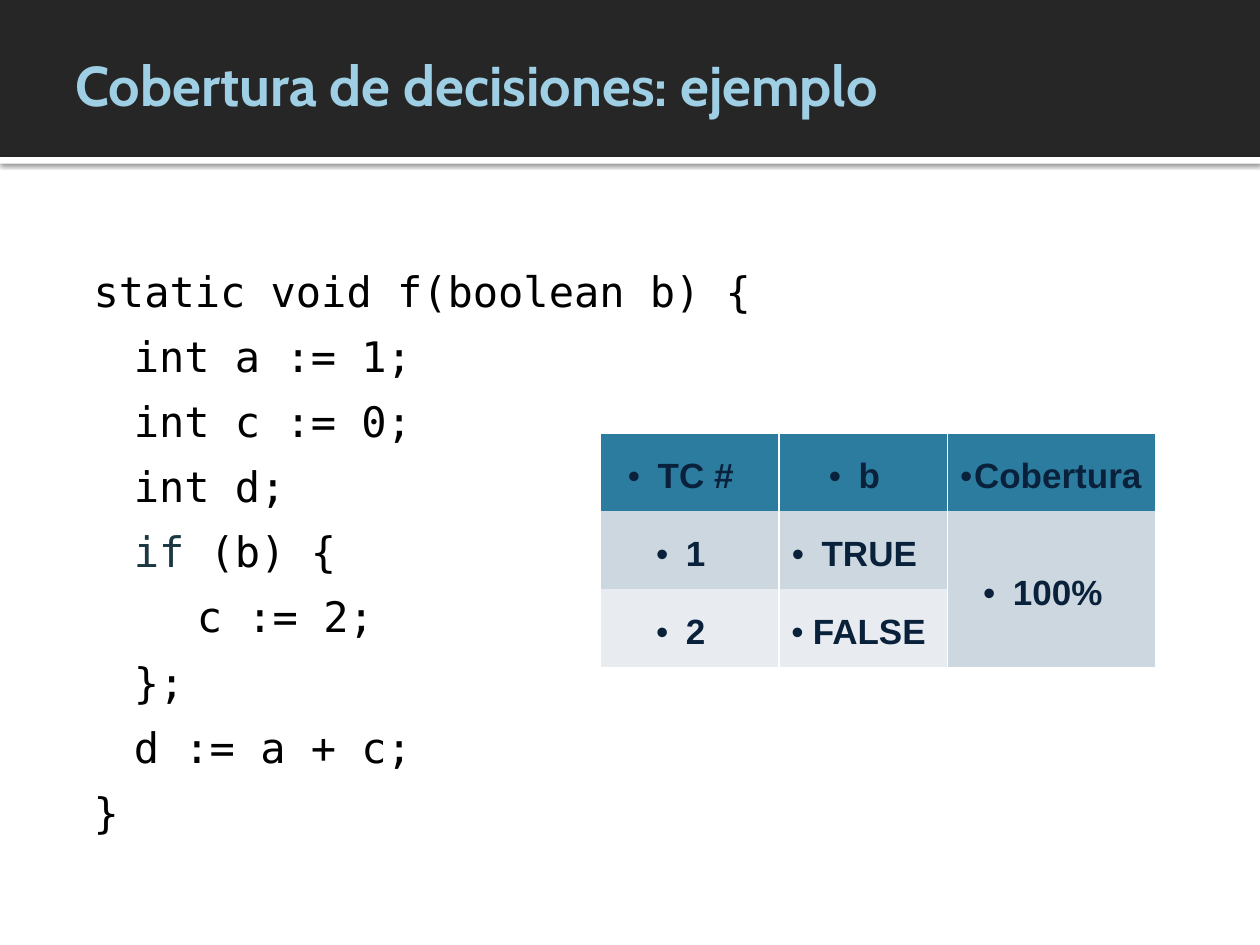
from lxml import etree
from pptx import Presentation
from pptx.dml.color import RGBColor
from pptx.enum import shapes, text
from pptx.oxml import ns
from pptx.util import Cm, Pt

CHARCOAL = RGBColor(0x26, 0x26, 0x26)
WHITE = RGBColor(0xFF, 0xFF, 0xFF)
BLACK = RGBColor(0, 0, 0)
SKY = RGBColor(0x9F, 0xCF, 0xE4)
KEYWORD = RGBColor(0x1B, 0x38, 0x42)
NAVY = RGBColor(0x09, 0x21, 0x3B)
TEAL = RGBColor(0x2C, 0x7C, 0x9F)
GREY_BLUE = RGBColor(0xCD, 0xD7, 0xDF)
PALE = RGBColor(0xE8, 0xEC, 0xF0)

CODE = [
    [("static void f(boolean b) {", BLACK)],
    [("\tint a := 1;", BLACK)],
    [("\tint c := 0;", BLACK)],
    [("\tint d;", BLACK)],
    [("\tif", KEYWORD), (" (b) {", BLACK)],
    [("\t\tc := 2;", BLACK)],
    [("\t};", BLACK)],
    [("\td := a + c;", BLACK)],
    [("}", BLACK)],
]
CASES = [["TC #", "b", "Cobertura"], ["1", "TRUE", "100%"], ["2", "FALSE", ""]]
ROW_FILLS = [TEAL, GREY_BLUE, PALE]
COLUMN_WIDTHS = [Cm(3.6), Cm(3.4), Cm(4.2)]
ROW_HEIGHT = Cm(1.57)


def add_xml(parent, tag, **attributes):
    """Append a drawing element and return it."""
    return etree.SubElement(parent, ns.qn(tag), **attributes)


def write(paragraph, wording, *, font, size, color, bold=False, align=None,
          spacing=None, after=None):
    """Add a formatted run to a paragraph."""
    run = paragraph.add_run()
    run.text = wording
    run.font.name = font
    run.font.size = Pt(size)
    run.font.color.rgb = color
    run.font.bold = bold
    if align is not None:
        paragraph.alignment = align
    if spacing is not None:
        paragraph.line_spacing = spacing
    if after is not None:
        paragraph.space_after = Pt(after)


def add_band(slide, top, height, color):
    """Draw a full-width bar and return it."""
    band = slide.shapes.add_shape(
        shapes.MSO_SHAPE.RECTANGLE, 0, top, Cm(25.4), height)
    band.shadow.inherit = False
    band.fill.solid()
    band.fill.fore_color.rgb = color
    band.line.fill.background()
    return band


def cast_shadow(band):
    """Give a bar a soft shadow below it."""
    effects = band._element.spPr.find(ns.qn("a:effectLst"))
    shadow = add_xml(effects, "a:outerShdw", blurRad=str(Pt(2.5)),
                     dist=str(Pt(0.8)), dir="5400000", rotWithShape="0")
    color = add_xml(shadow, "a:srgbClr", val=str(BLACK))
    add_xml(color, "a:alpha", val="60000")


def add_title(slide, wording):
    """Place the slide heading on the dark bar."""
    frame = slide.shapes.add_textbox(
        Cm(1.27), Cm(0.2), Cm(18.42), Cm(3)).text_frame
    frame.word_wrap = True
    frame.vertical_anchor = text.MSO_ANCHOR.MIDDLE
    write(frame.paragraphs[0], wording, font="Cabin", size=32, color=SKY,
          bold=True)


def set_tabs(paragraph):
    """Set the hanging indent and evenly spaced tab stops."""
    properties = paragraph._p.get_or_add_pPr()
    properties.set("marL", str(Cm(1)))
    properties.set("indent", str(Cm(-0.81)))
    stops = add_xml(properties, "a:tabLst")
    for index in range(8):
        add_xml(stops, "a:tab", pos=str(Cm(1 + 1.25 * index)), algn="l")


def add_code(slide, lines):
    """Place the program listing."""
    frame = slide.shapes.add_textbox(
        Cm(1.7), Cm(5.54), Cm(14.8), Cm(11.6)).text_frame
    frame.word_wrap = True
    frame.margin_left = frame.margin_right = 0
    frame.margin_top = frame.margin_bottom = 0
    for index, line in enumerate(lines):
        paragraph = frame.add_paragraph() if index else frame.paragraphs[0]
        set_tabs(paragraph)
        for wording, color in line:
            write(paragraph, wording, font="DejaVu Sans Mono", size=24,
                  color=color, spacing=0.8, after=14.2)


def set_borders(cell):
    """Rule the sides of a cell in white, leaving top and bottom open."""
    properties = cell._tc.get_or_add_tcPr()
    for index, side in enumerate(("a:lnL", "a:lnR", "a:lnT", "a:lnB")):
        line = etree.Element(ns.qn(side), w=str(Pt(1)))
        if side in ("a:lnL", "a:lnR"):
            add_xml(add_xml(line, "a:solidFill"), "a:srgbClr", val=str(WHITE))
        else:
            add_xml(line, "a:noFill")
        properties.insert(index, line)


def fill_cell(cell, wording, color):
    """Format a table cell and write its bulleted text."""
    cell.fill.solid()
    cell.fill.fore_color.rgb = color
    set_borders(cell)
    cell.vertical_anchor = text.MSO_ANCHOR.MIDDLE
    if wording:
        paragraph = cell.text_frame.paragraphs[0]
        write(paragraph, wording, font="Arial", size=20, color=NAVY, bold=True,
              align=text.PP_ALIGN.CENTER, spacing=1.2)
        properties = paragraph._p.get_or_add_pPr()
        add_xml(properties, "a:buFont", typeface="Arial")
        add_xml(properties, "a:buChar", char="\u2022")


def add_cases(slide, rows):
    """Place the table of test cases."""
    table = slide.shapes.add_table(
        len(rows), len(COLUMN_WIDTHS), Cm(12.1), Cm(8.74),
        sum(COLUMN_WIDTHS), ROW_HEIGHT * len(rows)).table
    for column, width in zip(table.columns, COLUMN_WIDTHS):
        column.width = width
    for row_index, (row, color) in enumerate(zip(rows, ROW_FILLS)):
        table.rows[row_index].height = ROW_HEIGHT
        for column_index, wording in enumerate(row):
            fill_cell(table.cell(row_index, column_index), wording, color)
    table.cell(1, 2).merge(table.cell(2, 2))


def main():
    """Build and save the slide."""
    deck = Presentation()
    deck.slide_width, deck.slide_height = Cm(25.4), Cm(19.05)
    slide = deck.slides.add_slide(deck.slide_layouts[6])
    add_band(slide, 0, Cm(3.17), CHARCOAL)
    cast_shadow(add_band(slide, Cm(3.17), Cm(0.13), WHITE))
    add_title(slide, "Cobertura de decisiones: ejemplo")
    add_cases(slide, CASES)
    add_code(slide, CODE)
    deck.save("out.pptx")


main()
